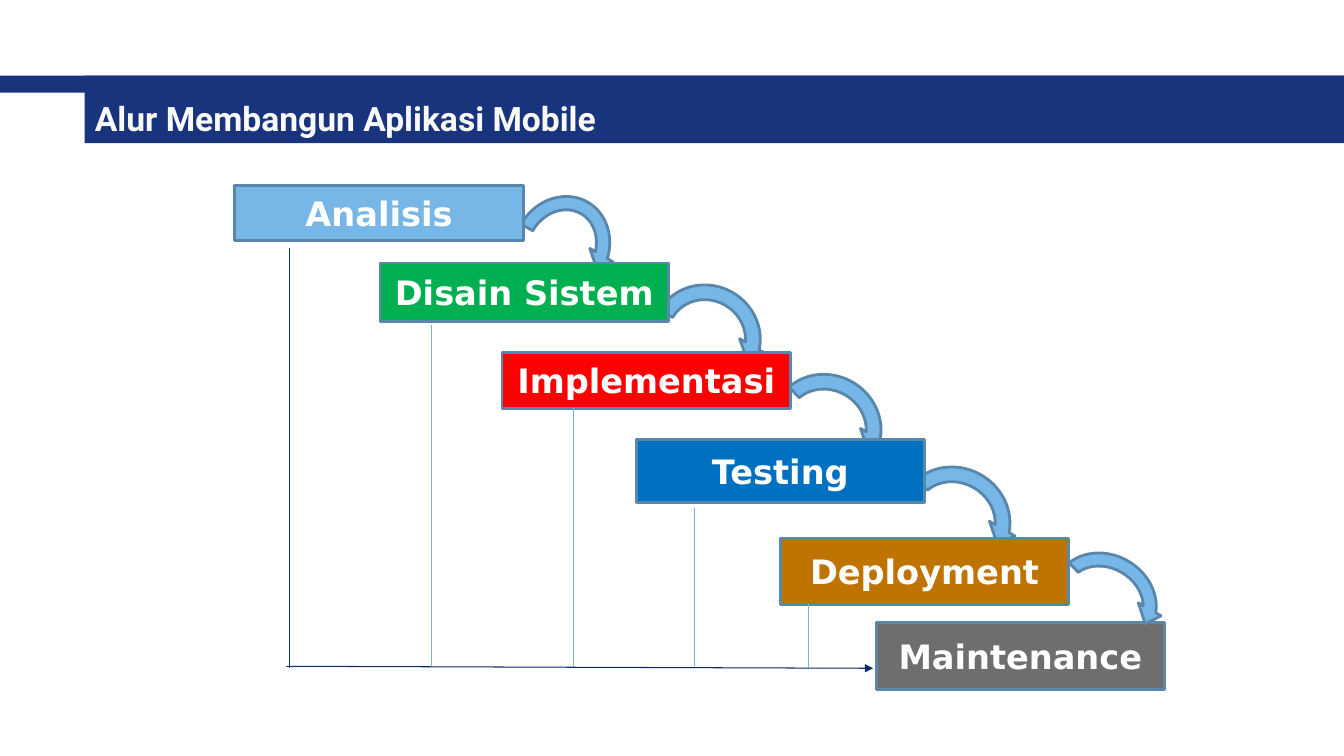
from lxml import etree
from pptx import Presentation
from pptx import util as u
from pptx.dml.color import RGBColor
from pptx.enum import shapes, text
from pptx.oxml.ns import qn

WIDE, HIGH = 13.33, 7.5
NAVY, SKY, EDGE = "17347D", "77B7E7", "5887AB"
AXIS, DROP = "0F296A", "72B3E5"
HEAD = "Alur Membangun Aplikasi Mobile"
BANDS = [(0, 0.75, WIDE, 0.17), (0.84, 0.75, WIDE - 0.84, 0.67)]
STEP_W = 2.86
STEPS = [
    ("Analisis", 2.33, 1.84, 0.55, SKY),
    ("Disain Sistem", 3.77, 2.61, 0.58, "00B050"),
    ("Implementasi", 4.98, 3.5, 0.55, "FF0000"),
    ("Testing", 6.31, 4.36, 0.63, "0070C0"),
    ("Deployment", 7.74, 5.34, 0.66, "BF7300"),
    ("Maintenance", 8.69, 6.18, 0.66, "6E6E6E"),
]
BEND = (0.125, 11.423, 204.577, 117.961, 0.125)
HOPS = [
    ((5.04, 1.87, 1.06, 1.17), ()),
    ((6.4, 2.76, 1.22, 1.17), ()),
    ((7.58, 3.65, 1.24, 1.17), BEND),
    ((8.85, 4.57, 1.25, 1.17), BEND),
    ((10.37, 5.44, 1.18, 1.04), BEND),
]
BASE = 6.61
DROPS = [(4.28, 3.22, BASE), (5.69, 4.05, BASE), (6.89, 5.04, BASE), (8.02, 5.99, 6.63)]
LINES = [((2.87, 2.46), (2.87, 6.63), AXIS, False), ((2.84, BASE), (8.66, 6.63), AXIS, True)]
LINES += [((x, top), (x, end), DROP, False) for x, top, end in DROPS]

deck = Presentation()
deck.slide_width, deck.slide_height = u.Inches(WIDE), u.Inches(HIGH)
slide = deck.slides.add_slide(deck.slide_layouts[5])


def color(code):
    return RGBColor.from_string(code)


def inch(vals):
    return [u.Inches(v) for v in vals]


def put(item, vals):
    for key, val in vals.items():
        setattr(item, key, val)


def shape(kind, box, fill, edge=None):
    item = slide.shapes.add_shape(kind, *inch(box))
    item.shadow.inherit = False
    item.fill.solid()
    item.fill.fore_color.rgb = color(fill)
    if edge:
        item.line.color.rgb = color(edge)
        item.line.width = u.Pt(2)
    else:
        item.line.fill.background()
    return item


def write(item, words, face, tone, align):
    frame = item.text_frame
    frame.text = words
    put(frame, {"word_wrap": True, "vertical_anchor": text.MSO_ANCHOR.MIDDLE,
                "auto_size": text.MSO_AUTO_SIZE.NONE})
    para = frame.paragraphs[0]
    para.alignment = align
    put(para.runs[0].font, {"name": face, "size": u.Pt(24), "bold": True})
    para.runs[0].font.color.rgb = color(tone)


def hop(box, bend):
    item = shape(shapes.MSO_SHAPE.CIRCULAR_ARROW, box, SKY, EDGE)
    item.rotation = 30
    for num, val in enumerate(bend):
        item.adjustments[num] = val


def line(start, end, tone, head):
    item = slide.shapes.add_connector(shapes.MSO_CONNECTOR.STRAIGHT, *inch(start + end))
    item.line.color.rgb = color(tone)
    item.line.width = u.Pt(0.75)
    if head:
        etree.SubElement(item.line._get_or_add_ln(), qn("a:tailEnd"), type="triangle")
    etree.SubElement(item._element.spPr, qn("a:effectLst"))


def main():
    for band in BANDS:
        shape(shapes.MSO_SHAPE.RECTANGLE, band, NAVY)
    title = slide.shapes.title
    put(title, dict(zip(("left", "top", "width", "height"), inch((0.84, 0.92, 12.21, 0.5)))))
    write(title, HEAD, "Roboto", "FAFAFA", text.PP_ALIGN.LEFT)
    title.element.getparent().append(title.element)

    for box, bend in HOPS[:-1]:
        hop(box, bend)
    for name, left, top, high, fill in STEPS:
        step = shape(shapes.MSO_SHAPE.RECTANGLE, (left, top, STEP_W, high), fill, EDGE)
        write(step, name, "DejaVu Sans", "FFFFFF", text.PP_ALIGN.CENTER)
    hop(*HOPS[-1])
    for part in LINES:
        line(*part)
    deck.save("out.pptx")


if __name__ == "__main__":
    main()
